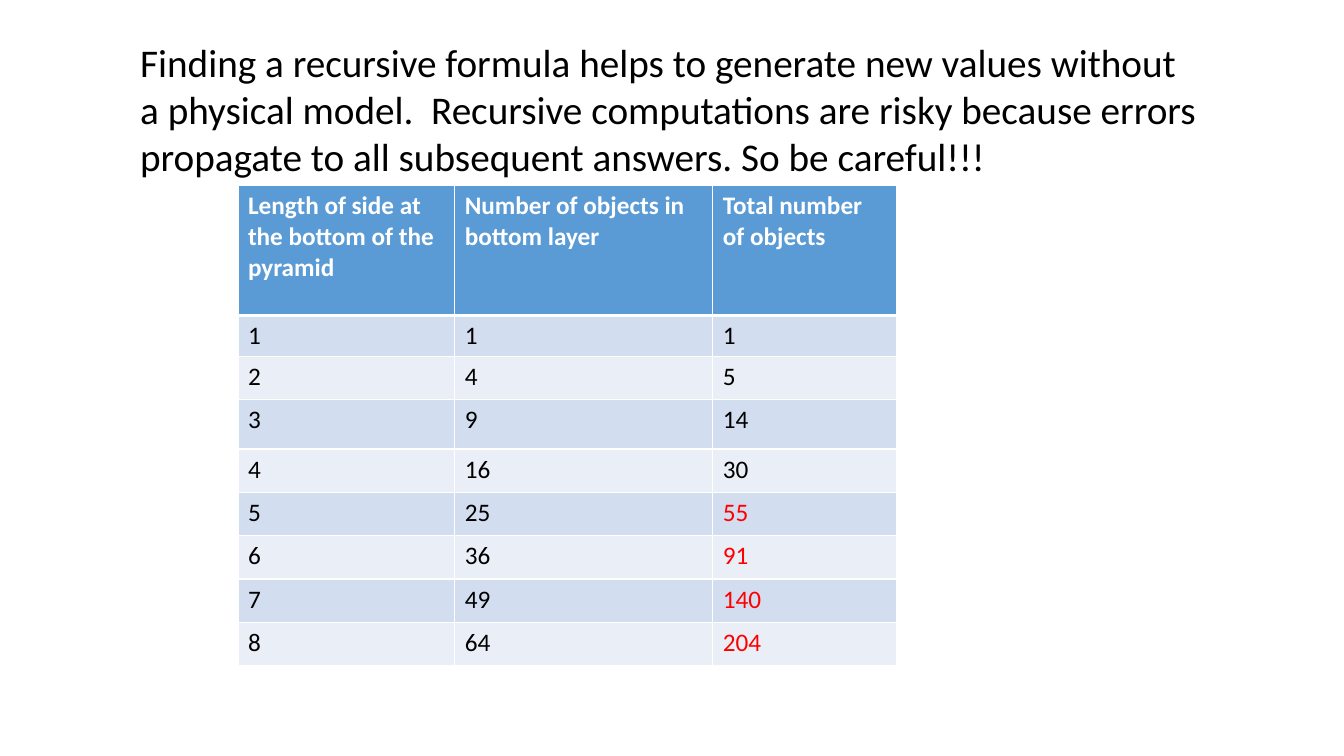
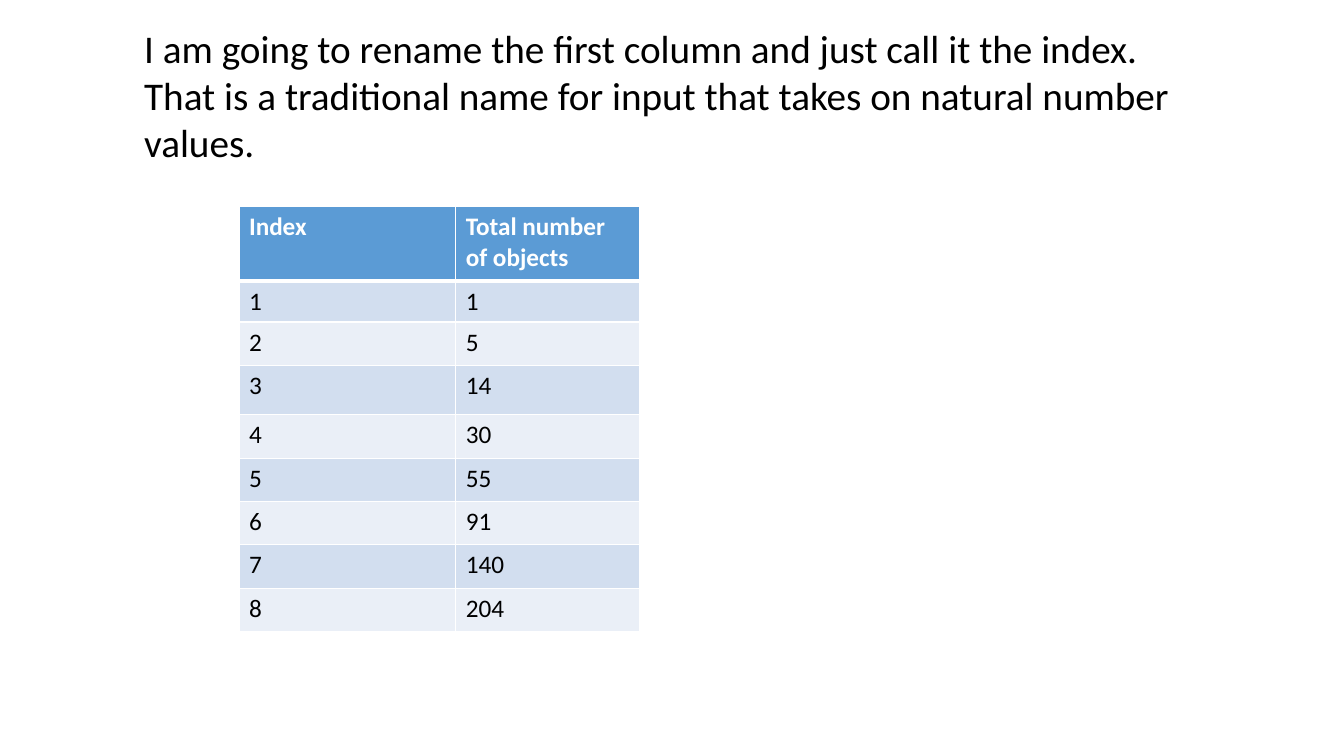
from lxml import etree
from pptx import Presentation
from pptx.dml.color import RGBColor
from pptx.enum import text
from pptx.oxml import ns
from pptx.util import Inches, Pt

# Content
SIDES = [1, 2, 3, 4, 5, 6, 7, 8]
LAYERS = [1, 4, 9, 16, 25, 36, 49, 64]
TOTALS = [1, 5, 14, 30, 55, 91, 140, 204]
SLIDES = [
    dict(
        title="Finding a recursive formula helps to generate new values without "
              "a physical model.  Recursive computations are risky because errors "
              "propagate to all subsequent answers. So be careful!!!",
        title_at=(1.29, 0.33),
        table_at=(2.36, 1.84),
        header_height=1.29,
        columns=[("Length of side at the bottom of the pyramid", 2.15, SIDES),
                 ("Number of objects in bottom layer", 2.56, LAYERS),
                 ("Total number of objects", 1.82, TOTALS)],
        computed=TOTALS[4:],
    ),
    dict(
        title="I am going to rename the first column and just call it the index.  "
              "That is a traditional name for input that takes on natural number "
              "values.",
        title_at=(1.33, 0.19),
        table_at=(2.37, 2.05),
        header_height=0.74,
        columns=[("Index", 2.15, SIDES),
                 ("Total number of objects", 1.82, TOTALS)],
        computed=[],
    ),
]

# Shared style
FONT = "Calibri"
COLORS = dict(header="5B9BD5", odd="D2DEEF", even="EAEFF7",
              white="FFFFFF", black="000000", red="FF0000")
TITLE_SIZE = (10.67, 1.51)
ROW_HEIGHTS = [0.4, 0.43, 0.49] + [0.43] * 5


def rgb(name):
    return RGBColor.from_string(COLORS[name])


def write(tf, words, size=18, color="black", bold=False):
    p = tf.paragraphs[0]
    p.alignment = text.PP_ALIGN.LEFT
    r = p.add_run()
    r.text = words
    r.font.name, r.font.size, r.font.bold = FONT, Pt(size), bold
    r.font.color.rgb = rgb(color)


def set_borders(cell, top=1, bottom=1):
    tc_pr = cell._tc.get_or_add_tcPr()
    for i, (side, width) in enumerate([("L", 1), ("R", 1), ("T", top), ("B", bottom)]):
        ln = etree.Element(ns.qn(f"a:ln{side}"), w=str(Pt(width)))
        fill = etree.SubElement(ln, ns.qn("a:solidFill"))
        etree.SubElement(fill, ns.qn("a:srgbClr"), val=COLORS["white"])
        tc_pr.insert(i, ln)


def add_title(s, words, at):
    sp = s.shapes.title
    sp.left, sp.top = map(Inches, at)
    sp.width, sp.height = map(Inches, TITLE_SIZE)
    tf = sp.text_frame
    tf.word_wrap = True
    tf.auto_size = text.MSO_AUTO_SIZE.NONE
    tf.vertical_anchor = text.MSO_ANCHOR.TOP
    write(tf, words, size=28)


def add_number_table(s, at, header_height, columns, computed):
    heights = [header_height] + ROW_HEIGHTS
    width = sum(w for _, w, _ in columns)
    frame = s.shapes.add_table(len(heights), len(columns), *map(Inches, at),
                               Inches(width), Inches(sum(heights)))
    table = frame.table
    for row, height in zip(table.rows, heights):
        row.height = Inches(height)
    for c, (heading, col_width, values) in enumerate(columns):
        table.columns[c].width = Inches(col_width)
        for r, value in enumerate([heading] + values):
            cell = table.cell(r, c)
            is_header = r == 0
            is_computed = values is TOTALS and value in computed
            band = "header" if is_header else "odd" if r % 2 else "even"
            cell.fill.solid()
            cell.fill.fore_color.rgb = rgb(band)
            set_borders(cell, top=3 if r == 1 else 1, bottom=3 if is_header else 1)
            color = "white" if is_header else "red" if is_computed else "black"
            write(cell.text_frame, str(value), color=color, bold=is_header)


def main():
    prs = Presentation()
    prs.slide_width, prs.slide_height = Inches(13.33), Inches(7.5)
    title_only = prs.slide_layouts[5]
    for item in SLIDES:
        s = prs.slides.add_slide(title_only)
        add_number_table(s, item["table_at"], item["header_height"],
                         item["columns"], item["computed"])
        add_title(s, item["title"], item["title_at"])
    prs.save("out.pptx")


if __name__ == "__main__":
    main()
